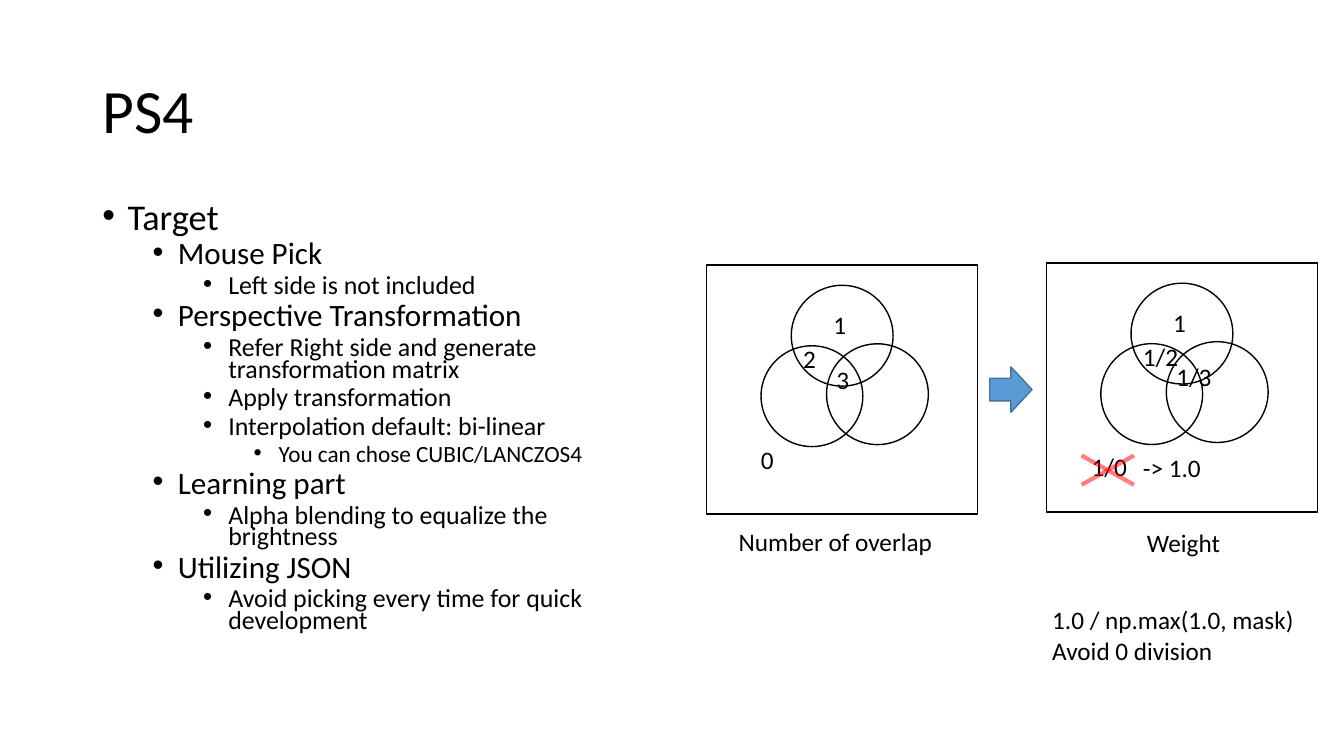
"""Build the PS4 slide: target list and overlap-to-weight diagrams."""
from dataclasses import dataclass

import pptx
import pptx.dml.color
import pptx.enum.shapes
import pptx.enum.text
import pptx.oxml
import pptx.oxml.ns
import pptx.util
from pptx.util import Pt

Shapes = pptx.enum.shapes.MSO_SHAPE


@dataclass(frozen=True)
class Theme:
    """Colours, font and type sizes of the slide."""
    font: str = "Calibri"
    ink: str = "000000"
    paper: str = "FFFFFF"
    arrow: str = "5B9BD5"
    arrow_edge: str = "43739E"
    strike: str = "FF0000"
    title: float = 44
    label: float = 18
    levels: tuple[float, ...] = (25.9, 22.2, 18.5, 16.6)


@dataclass(frozen=True)
class Bullet:
    """One list item with its depth."""
    level: int
    text: str


@dataclass(frozen=True)
class Label:
    """One unwrapped text at a position in points."""
    text: str
    left: float
    top: float
    width: float


@dataclass(frozen=True)
class Venn:
    """A framed three-circle diagram with its region texts."""
    left: float
    top: float
    regions: tuple[str, str, str]


THEME = Theme()
BULLETS = (
    Bullet(0, "Target"),
    Bullet(1, "Mouse Pick"),
    Bullet(2, "Left side is not included"),
    Bullet(1, "Perspective Transformation"),
    Bullet(2, "Refer Right side and generate transformation matrix"),
    Bullet(2, "Apply transformation"),
    Bullet(2, "Interpolation default: bi-linear"),
    Bullet(3, "You can chose CUBIC/LANCZOS4"),
    Bullet(1, "Learning part"),
    Bullet(2, "Alpha blending to equalize the brightness"),
    Bullet(1, "Utilizing JSON"),
    Bullet(2, "Avoid picking every time for quick development"),
)
VENNS = (
    Venn(504.7, 189.4, ("1", "2", "3")),
    Venn(747.4, 187.9, ("1", "1/2", "1/3")),
)
LABELS = (
    Label("Number of overlap", 520.6, 372.2, 154.1),
    Label("Weight", 812.2, 373, 67.7),
    Label("0", 536.4, 313.9, 23.8),
    Label("1/0", 772.6, 319, 40),
    Label("1.0 / np.max(1.0, mask)\nAvoid 0 division", 744.5, 428.4, 188.6),
    Label("-> 1.0", 809.3, 319.7, 56.2),
)
FRAME_SIZE = (193.7, 177.8)
CIRCLE_SIZE = (72.7, 72)
CIRCLE_OFFSETS = ((85.7, 56.2), (38.9, 57.6), (60.5, 14.4))
REGION_OFFSETS = ((83.5, 28.1), (61.9, 52.6), (85.7, 67))
REGION_WIDTHS = {1: 23.8, 3: 39.6}


def rgb(code: str) -> pptx.dml.color.RGBColor:
    """Turn a hex code into a colour."""
    return pptx.dml.color.RGBColor.from_string(code)


def add_span(para, text: str, size: float) -> None:
    """Add one styled run to a paragraph."""
    span = para.add_run()
    span.text = text
    span.font.name = THEME.font
    span.font.size = Pt(size)
    span.font.color.rgb = rgb(THEME.ink)


def add_box(page, left: float, top: float, width: float, height: float, wrap: bool):
    """Add an empty text box and return its text frame."""
    box = page.shapes.add_textbox(Pt(left), Pt(top), Pt(width), Pt(height))
    box.text_frame.word_wrap = wrap
    return box.text_frame


def add_label(page, label: Label) -> None:
    """Add a label, one paragraph per line."""
    lines = label.text.split("\n")
    frame = add_box(page, label.left, label.top, label.width, 7.2 + 21.6 * len(lines), False)
    for index, line in enumerate(lines):
        para = frame.add_paragraph() if index else frame.paragraphs[0]
        add_span(para, line, THEME.label)


def add_outline(page, kind, left: float, top: float, size: tuple[float, float],
                fill: str | None, edge: str) -> None:
    """Add a preset shape with a thin edge and an optional fill."""
    shape = page.shapes.add_shape(kind, Pt(left), Pt(top), Pt(size[0]), Pt(size[1]))
    shape.shadow.inherit = False
    if fill:
        shape.fill.solid()
        shape.fill.fore_color.rgb = rgb(fill)
    else:
        shape.fill.background()
    shape.line.color.rgb = rgb(edge)
    shape.line.width = Pt(1)


def add_venn(page, venn: Venn) -> None:
    """Draw a frame, its circles and the region texts."""
    add_outline(page, Shapes.RECTANGLE, venn.left, venn.top, FRAME_SIZE, THEME.paper, THEME.ink)
    for across, down in CIRCLE_OFFSETS:
        add_outline(page, Shapes.OVAL, venn.left + across, venn.top + down,
                    CIRCLE_SIZE, None, THEME.ink)
    for text, (across, down) in zip(venn.regions, REGION_OFFSETS):
        add_label(page, Label(text, venn.left + across, venn.top + down,
                              REGION_WIDTHS[len(text)]))


def add_strike(page, left: float, top: float, right: float, bottom: float) -> None:
    """Cross out an area with two half-transparent lines."""
    for start, end in ((bottom, top), (top, bottom)):
        line = page.shapes.add_connector(pptx.enum.shapes.MSO_CONNECTOR.STRAIGHT,
                                         Pt(right), Pt(start), Pt(left), Pt(end))
        line.line.color.rgb = rgb(THEME.strike)
        line.line.width = Pt(3)
        properties = line._element.spPr
        colour = properties.find(".//" + pptx.oxml.ns.qn("a:srgbClr"))
        alpha = colour.makeelement(pptx.oxml.ns.qn("a:alpha"), {"val": "50000"})
        colour.append(alpha)
        properties.append(properties.makeelement(pptx.oxml.ns.qn("a:effectLst"), {}))


def add_title(page, text: str) -> None:
    """Add the vertically centred title."""
    frame = add_box(page, 66, 28.8, 828, 104.4, True)
    frame.vertical_anchor = pptx.enum.text.MSO_ANCHOR.MIDDLE
    frame.paragraphs[0].line_spacing = 0.9
    add_span(frame.paragraphs[0], text, THEME.title)


def add_bullets(page, bullets: tuple[Bullet, ...]) -> None:
    """Add the indented target list."""
    frame = add_box(page, 66, 144, 408, 342.7, True)
    for index, bullet in enumerate(bullets):
        para = frame.add_paragraph() if index else frame.paragraphs[0]
        para.level = bullet.level
        para.line_spacing = 0.7
        para.space_before = Pt(5 if bullet.level else 10)
        properties = para._p.get_or_add_pPr()
        properties.set("marL", str(Pt(18 + 36 * bullet.level)))
        properties.set("indent", str(Pt(-18)))
        for tag, attributes in (("a:buFont", {"typeface": "Arial"}), ("a:buChar", {"char": "•"})):
            properties.append(properties.makeelement(pptx.oxml.ns.qn(tag), attributes))
        add_span(para, bullet.text, THEME.levels[bullet.level])


def main() -> None:
    """Build and save the deck."""
    deck = pptx.Presentation()
    deck.slide_width, deck.slide_height = Pt(960), Pt(540)
    page = deck.slides.add_slide(deck.slide_layouts[6])
    add_title(page, "PS4")
    add_bullets(page, BULLETS)
    for venn in VENNS:
        add_venn(page, venn)
    add_outline(page, Shapes.RIGHT_ARROW, 707, 262.1, (30.2, 32.4),
                THEME.arrow, THEME.arrow_edge)
    for label in LABELS:
        add_label(page, label)
    add_strike(page, 772.6, 325.4, 810, 346.3)
    deck.save("out.pptx")


main()
